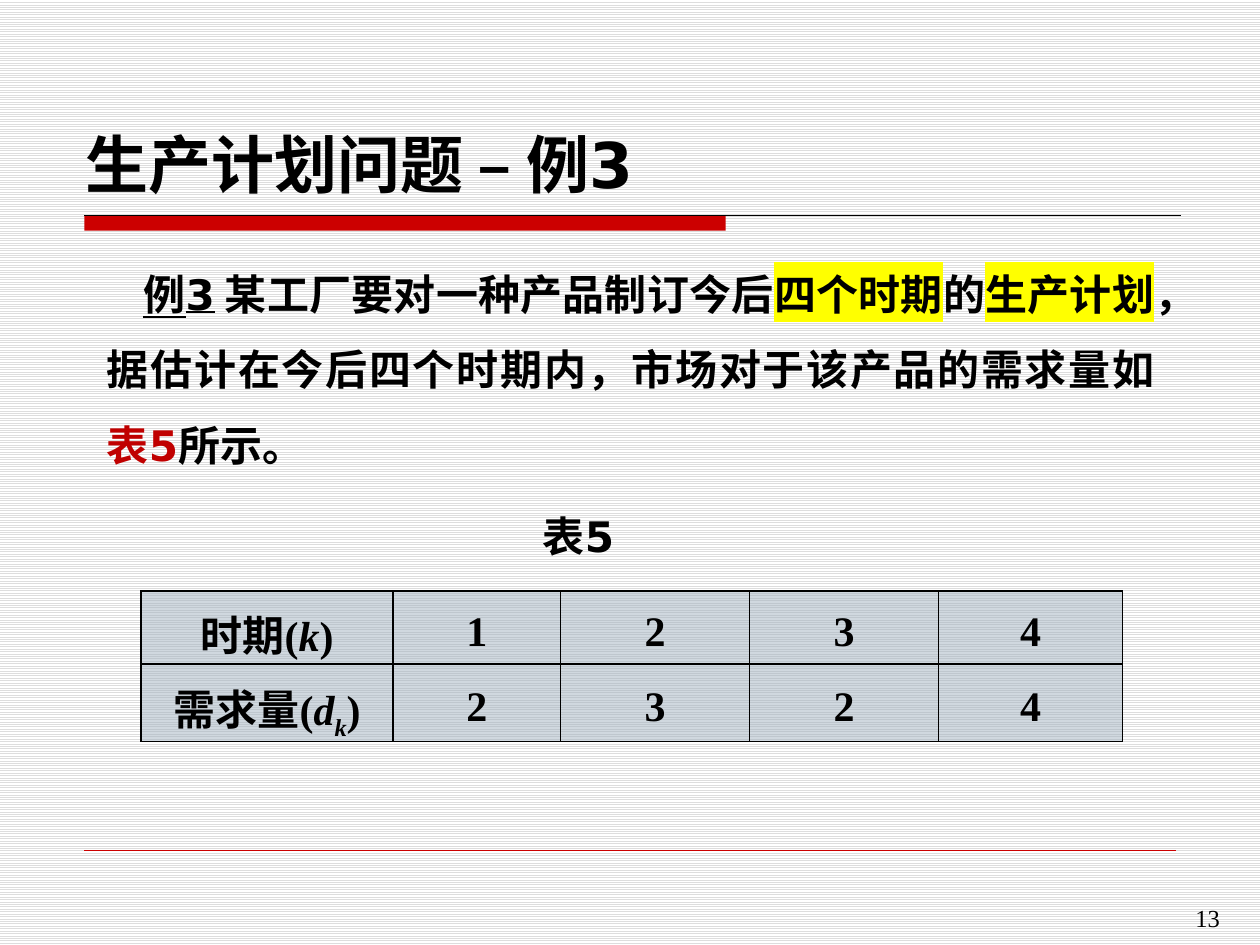
import pptx
import pptx.util
import pptx.dml.color
import pptx.enum.dml
import pptx.enum.shapes
import pptx.enum.text
import pptx.oxml.ns
import lxml.etree

Inches = pptx.util.Inches
qn = pptx.oxml.ns.qn
ALIGN = pptx.enum.text.PP_ALIGN
ANCHOR = pptx.enum.text.MSO_ANCHOR

COLORS = {
    "text": "000000",
    "red": "CC0000",
    "reference": "C00000",
    "highlight": "FFFF00",
    "cell": "A3B2C1",
    "stripe": "DDDDDD",
    "paper": "FFFFFF",
}
SANS, SERIF, CHINESE = "DejaVu Sans", "Times New Roman", "Noto Sans CJK SC"


def rgb(key):
    return pptx.dml.color.RGBColor.from_string(COLORS[key])


def add_element(parent, tag, **attributes):
    return lxml.etree.SubElement(parent, qn(tag), attributes)


class SlideBuilder:
    base_format = {"size": pptx.util.Pt(24), "bold": True, "name": SANS}

    def __init__(self, presentation):
        self.slide = presentation.slides.add_slide(presentation.slide_layouts[5])
        fill = self.slide.background.fill
        fill.patterned()
        fill.pattern = pptx.enum.dml.MSO_PATTERN.LIGHT_HORIZONTAL
        fill.fore_color.rgb = rgb("stripe")
        fill.back_color.rgb = rgb("paper")

    def fill_paragraph(self, paragraph, runs, align=ALIGN.LEFT, spacing=1.0,
                       margin=0, indent=0):
        paragraph.alignment = align
        paragraph.line_spacing = spacing
        properties = paragraph._p.get_or_add_pPr()
        properties.set("marL", str(Inches(margin)))
        properties.set("indent", str(Inches(indent)))
        for text, changes in runs:
            run = paragraph.add_run()
            run.text = text
            values = {**self.base_format, **changes}
            color = values.pop("color", "text")
            highlight = values.pop("highlight", None)
            baseline = values.pop("baseline", None)
            for attribute, value in values.items():
                setattr(run.font, attribute, value)
            run.font.color.rgb = rgb(color)
            run_properties = run._r.get_or_add_rPr()
            add_element(run_properties, "a:ea", typeface=CHINESE)
            if baseline:
                run_properties.set("baseline", str(baseline))
            if highlight:
                marker = lxml.etree.Element(qn("a:highlight"))
                add_element(marker, "a:srgbClr", val=COLORS[highlight])
                run_properties.find(qn("a:solidFill")).addnext(marker)

    def place_text(self, shape, box, runs, anchor, **layout):
        shape.left, shape.top, shape.width, shape.height = map(Inches, box)
        frame = shape.text_frame
        frame.word_wrap = True
        frame.auto_size = pptx.enum.text.MSO_AUTO_SIZE.NONE
        frame.vertical_anchor = anchor
        self.fill_paragraph(frame.paragraphs[0], runs, **layout)

    def title(self, box, text):
        runs = [(text, {"size": pptx.util.Pt(36)})]
        self.place_text(self.slide.shapes.title, box, runs, ANCHOR.MIDDLE)

    def text(self, box, runs, anchor=ANCHOR.TOP, **layout):
        shape = self.slide.shapes.add_textbox(*map(Inches, box))
        self.place_text(shape, box, runs, anchor, **layout)

    def bar(self, box, color):
        shape = self.slide.shapes.add_shape(
            pptx.enum.shapes.MSO_SHAPE.RECTANGLE, *map(Inches, box))
        shape.shadow.inherit = False
        shape.fill.solid()
        shape.fill.fore_color.rgb = rgb(color)
        shape.line.fill.background()

    def rule(self, left, right, y, color, width):
        line = self.slide.shapes.add_connector(
            pptx.enum.shapes.MSO_CONNECTOR.STRAIGHT, *map(Inches, (left, y, right, y)))
        line.line.color.rgb = rgb(color)
        line.line.width = pptx.util.Pt(width)
        add_element(line._element.spPr, "a:effectLst")

    def table(self, box, widths, heights, rows):
        table = self.slide.shapes.add_table(
            len(rows), len(widths), *map(Inches, box)).table
        for column, width in zip(table.columns, widths):
            column.width = Inches(width)
        for row, height, contents in zip(table.rows, heights, rows):
            row.height = Inches(height)
            for cell, runs in zip(row.cells, contents):
                self.cell(cell, runs)

    def cell(self, cell, runs):
        cell.vertical_anchor = ANCHOR.MIDDLE
        cell.margin_top = cell.margin_bottom = 0
        self.fill_paragraph(cell.text_frame.paragraphs[0], runs, ALIGN.CENTER, 1.2)
        properties = cell._tc.get_or_add_tcPr()
        for side in ("L", "R", "T", "B"):
            border = add_element(properties, f"a:ln{side}", w=str(pptx.util.Pt(1)))
            fill = add_element(border, "a:solidFill")
            add_element(fill, "a:srgbClr", val=COLORS["text"])
        cell.fill.solid()
        cell.fill.fore_color.rgb = rgb("cell")
        color = properties.find(qn("a:solidFill")).find(qn("a:srgbClr"))
        add_element(color, "a:alpha", val="50000")


def main():
    presentation = pptx.Presentation()
    presentation.slide_width, presentation.slide_height = Inches(10), Inches(7.5)
    builder = SlideBuilder(presentation)

    builder.bar((0.67, 1.71, 5.09, 0.12), "red")
    builder.rule(0.67, 9.37, 1.71, "text", 0.75)
    builder.rule(0.67, 9.33, 6.75, "red", 0.25)
    builder.title((0.58, 0.98, 5.67, 0.63), "生产计划问题 – 例3")

    chinese = {"name": CHINESE}
    marked = {**chinese, "highlight": "highlight"}
    builder.text((0.75, 1.91, 8.51, 1.84), [
        ("例3", {"underline": True}),
        (" 某工厂要对一种产品制订今后", chinese),
        ("四个时期", marked),
        ("的", chinese),
        ("生产计划", marked),
        ("，据估计在今后四个时期内，市场对于该产品的需求量如", chinese),
        ("表", {**chinese, "color": "reference"}),
        ("5", {"color": "reference"}),
        ("所示。", chinese),
    ], ANCHOR.MIDDLE, align=ALIGN.JUSTIFY, spacing=1.5, indent=0.29)

    builder.text((4.21, 3.8, 2.28, 0.62), [("表", {"name": "Arial"}), ("5", {})],
                 spacing=1.5, margin=0.49, indent=-0.49)

    serif = {"name": SERIF}
    italic = {**serif, "italic": True}
    period = [("时期(", serif), ("k", italic), (")", serif)]
    demand = [("需求量(", serif), ("d", italic),
              ("k", {**italic, "baseline": -25000}), (")", serif)]
    rows = [[label] + [[(digit, serif)] for digit in digits]
            for label, digits in ((period, "1234"), (demand, "2324"))]
    builder.table((1.12, 4.69, 7.8, 1.09), (2, 1.33, 1.5, 1.5, 1.46), (0.5, 0.56), rows)

    number = {"name": SERIF, "size": pptx.util.Pt(14), "bold": False}
    builder.text((7.7, 6.95, 2.08, 0.5), [("13", number)], ANCHOR.BOTTOM, align=ALIGN.RIGHT)

    presentation.save("out.pptx")


if __name__ == "__main__":
    main()
